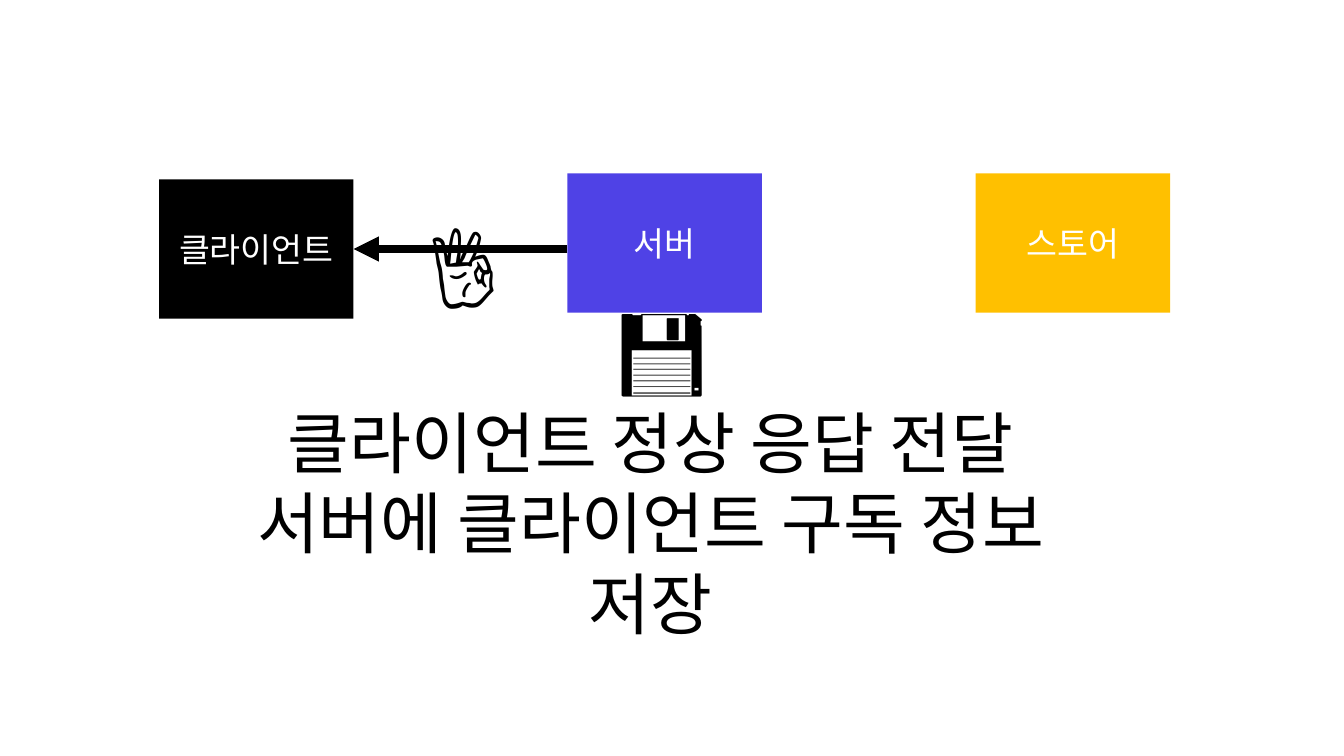
from lxml import etree
from pptx import Presentation
from pptx import util as u
from pptx.dml.color import RGBColor
from pptx.enum import shapes, text
from pptx.oxml.ns import qn

COLORS = {"black": "000000", "white": "FFFFFF", "server": "4F42E6", "store": "FFC000"}


def color(name):
    return RGBColor.from_string(COLORS[name])


def add_line(p, content, font, size, fill):
    r = p.add_run()
    r.text = content
    r.font.name = font
    r.font.size = u.Pt(size)
    r.font.color.rgb = color(fill)


prs = Presentation()
prs.slide_width, prs.slide_height = u.Cm(33.87), u.Cm(19.05)
s = prs.slides.add_slide(prs.slide_layouts[6])

# Three evenly spaced boxes
LEFT, STEP, WIDTH, HEIGHT = 4.01, 10.29, 4.9, 3.51
boxes = []
for i, (label, fill, top) in enumerate([
    ("클라이언트", "black", 4.52),
    ("서버", "server", 4.37),
    ("스토어", "store", 4.37),
]):
    sp = s.shapes.add_shape(shapes.MSO_SHAPE.RECTANGLE, u.Cm(LEFT + i * STEP),
                            u.Cm(top), u.Cm(WIDTH), u.Cm(HEIGHT))
    sp.shadow.inherit = False
    sp.fill.solid()
    sp.fill.fore_color.rgb = color(fill)
    sp.line.fill.background()
    tf = sp.text_frame
    tf.vertical_anchor = text.MSO_ANCHOR.MIDDLE
    p = tf.paragraphs[0]
    p.alignment = text.PP_ALIGN.CENTER
    add_line(p, label, "Lato", 24, "white")
    boxes.append(sp)
client, server, store = boxes

# Response arrow from server to client, level with the client's middle
arrow_y = client.top + client.height // 2
arrow = s.shapes.add_connector(shapes.MSO_CONNECTOR.STRAIGHT, server.left, arrow_y,
                               client.left + client.width, arrow_y)
arrow.end_connect(client, 3)
arrow.line.color.rgb = color("black")
arrow.line.width = u.Pt(6)
etree.SubElement(arrow.line._get_or_add_ln(), qn("a:tailEnd"), type="triangle")
etree.SubElement(arrow._element.spPr, qn("a:effectLst"))

# Caption and symbols
for lines, left, top, width, height, font, size, align, wrap in [
    (["클라이언트 정상 응답 전달", "서버에 클라이언트 구독 정보 저장"],
     4.62, 9.98, 23.55, 4.37, "Roboto", 48, text.PP_ALIGN.CENTER, True),
    (["👌"], 10.57, 5.03, 2.79, 3, "Noto Sans CJK KR", 64, text.PP_ALIGN.LEFT, False),
    (["💾"], 15.34, 7.24, 2.79, 3, "Noto Sans CJK KR", 64, text.PP_ALIGN.LEFT, False),
]:
    sp = s.shapes.add_textbox(u.Cm(left), u.Cm(top), u.Cm(width), u.Cm(height))
    tf = sp.text_frame
    tf.word_wrap = wrap
    tf.auto_size = text.MSO_AUTO_SIZE.SHAPE_TO_FIT_TEXT
    for i, content in enumerate(lines):
        p = tf.add_paragraph() if i else tf.paragraphs[0]
        p.alignment = align
        add_line(p, content, font, size, "black")

prs.save("out.pptx")
